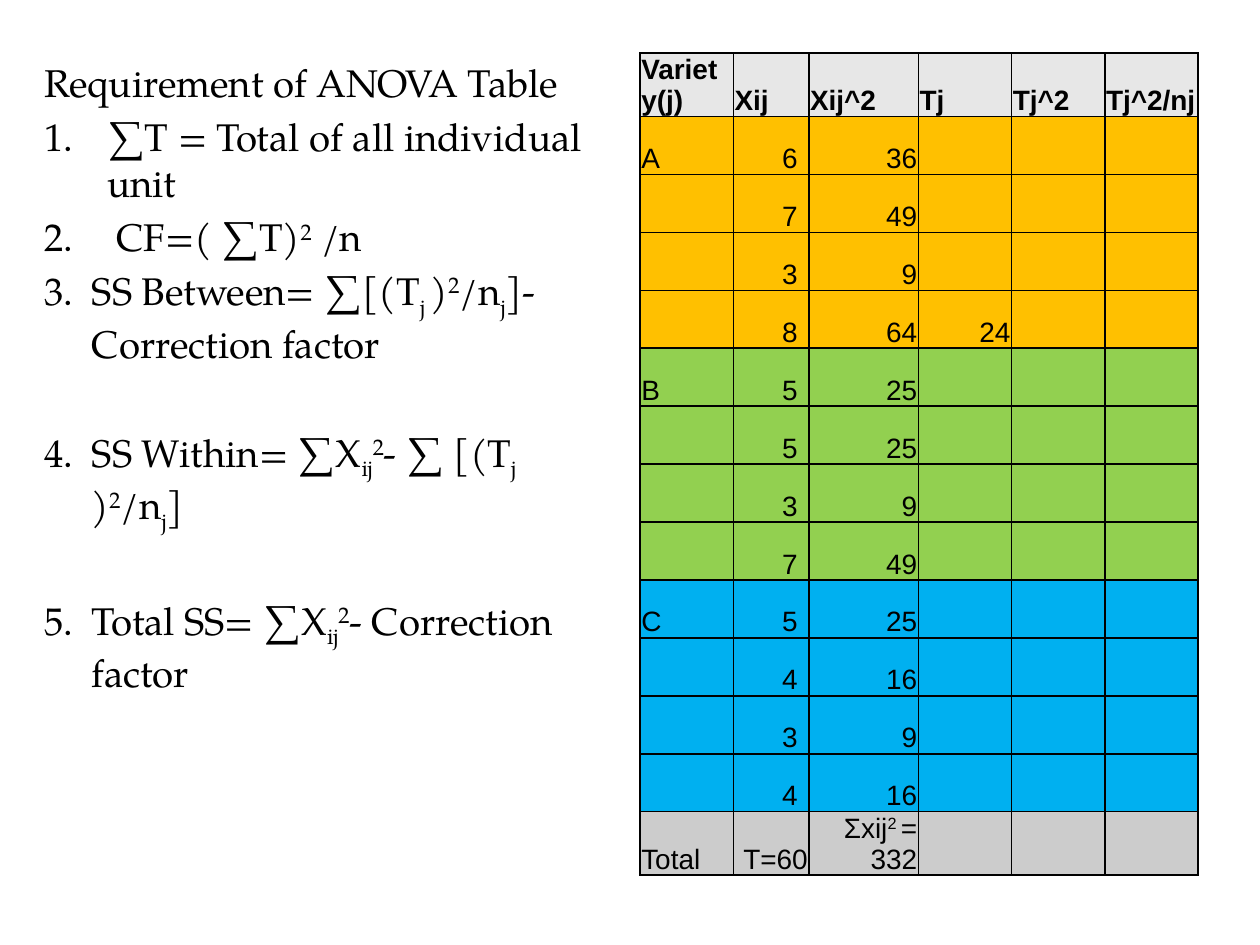
import pptx
import pptx.dml.color
import pptx.enum.text
import pptx.oxml
import pptx.oxml.ns
import pptx.util

Inches = pptx.util.Inches
Pt = pptx.util.Pt
ANCHOR = pptx.enum.text.MSO_ANCHOR
ALIGN = pptx.enum.text.PP_ALIGN

BASELINES = {"_": "-25000", "^": "30000"}
BODY_FONT = {"name": "TeX Gyre Pagella", "size": Pt(22)}
CELL_FONT = {"name": "Arial", "size": Pt(16), "bold": False}
HEAD_FONT = {**CELL_FONT, "bold": True}
CELL_FORMAT = {
    "vertical_anchor": ANCHOR.BOTTOM,
    "margin_left": Inches(0.01),
    "margin_right": Inches(0.01),
    "margin_top": Inches(0.01),
    "margin_bottom": 0,
}

STEPS = [
    ("Requirement of ANOVA Table", 0.38, False, None),
    ("∑T = Total of all individual unit", 0.5, True, None),
    (" CF=( ∑T)|^2| /n", 0.5, True, None),
    ("3.\tSS Between= ∑[(T|_j |)|^2|/n|_j|]- Correction factor", 0.38, False, None),
    ("4.\tSS Within= ∑X|_ij|^2|- ∑ [(T|_j |)|^2|/n|_j|]", 0.38, False, 36),
    ("5.\tTotal SS= ∑X|_ij|^2|- Correction factor", 0.38, False, 36),
]

HEADINGS = ["Variety(j)", "Xij", "Xij^2", "Tj", "Tj^2", "Tj^2/nj"]
VARIETIES = [
    ("A", "FFC000", [6, 7, 3, 8], "24"),
    ("B", "92D050", [5, 5, 3, 7], ""),
    ("C", "00B0F0", [5, 4, 3, 4], ""),
]
TOTALS = ["Total", "T=60", "Σxij|^2 |= 332", "", "", ""]
COL_WIDTHS = [0.74, 0.6, 0.87, 0.74, 0.74, 0.74]


def color(value):
    return pptx.dml.color.RGBColor.from_string(value)


def apply(obj, values):
    for name, value in values.items():
        setattr(obj, name, value)


def add_runs(p, text, font):
    for part in text.split("|"):
        r = p.add_run()
        r.text = part
        apply(r.font, font)
        r.font.color.rgb = color("000000")
        if part[0] in BASELINES:
            r.text = part[1:]
            r.font._element.set("baseline", BASELINES[part[0]])


def set_bullet(p, indent, numbered):
    pPr = p._p.get_or_add_pPr()
    pPr.set("marL", str(Inches(indent)))
    pPr.set("indent", str(-Inches(indent)))
    tag = "a:buAutoNum" if numbered else "a:buNone"
    bullet = pptx.oxml.parse_xml(f"<{tag} {pptx.oxml.ns.nsdecls('a')}/>")
    if numbered:
        bullet.set("type", "arabicPeriod")
    pPr.append(bullet)


def add_steps(sp, left, top, width, height):
    apply(sp, {"left": left, "top": top, "width": width, "height": height})
    tf = sp.text_frame
    apply(tf, {"word_wrap": True, "auto_size": pptx.enum.text.MSO_AUTO_SIZE.NONE})
    for i, (text, indent, numbered, gap) in enumerate(STEPS):
        p = tf.add_paragraph() if i else tf.paragraphs[0]
        if gap:
            p.space_before = Pt(gap)
        set_bullet(p, indent, numbered)
        add_runs(p, text, BODY_FONT)


def add_borders(cell):
    tcPr = cell._tc.get_or_add_tcPr()
    for side in ("lnL", "lnR", "lnT", "lnB"):
        tcPr.append(pptx.oxml.parse_xml(
            f'<a:{side} {pptx.oxml.ns.nsdecls("a")} w="{Pt(1)}"><a:solidFill>'
            f'<a:srgbClr val="000000"/></a:solidFill></a:{side}>'))


def fill_cell(cell, text, fill, font, align):
    apply(cell, CELL_FORMAT)
    add_borders(cell)
    cell.fill.solid()
    cell.fill.fore_color.rgb = color(fill)
    p = cell.text_frame.paragraphs[0]
    p.alignment = align
    if text:
        add_runs(p, text, font)


def table_rows():
    rows = [(HEADINGS, "E7E7E7")]
    for name, fill, values, total in VARIETIES:
        for i, x in enumerate(values):
            label = name if i == 0 else ""
            tj = total if i == len(values) - 1 else ""
            rows.append(([label, str(x), str(x ** 2), tj, "", ""], fill))
    return rows + [(TOTALS, "CCCCCC")]


def add_variety_table(s, left, top, width, height):
    rows = table_rows()
    frame = s.shapes.add_table(len(rows), len(HEADINGS), left, top, width, height)
    table = frame.table
    for col, w in zip(table.columns, COL_WIDTHS):
        col.width = Inches(w)
    for i, (texts, fill) in enumerate(rows):
        for j, text in enumerate(texts):
            cell = table.cell(i, j)
            font = HEAD_FONT if i == 0 else CELL_FONT
            align = ALIGN.RIGHT if i and j else ALIGN.LEFT
            fill_cell(cell, text, fill, font, align)
            if j == 1 and 0 < i < len(rows) - 1:
                cell.margin_right = Inches(0.09)


def main():
    prs = pptx.Presentation()
    apply(prs, {"slide_width": Inches(10), "slide_height": Inches(7.5)})
    s = prs.slides.add_slide(prs.slide_layouts[1])
    title = s.shapes.title._element
    title.getparent().remove(title)
    add_steps(s.placeholders[1], Inches(0.25), Inches(0.42), Inches(4.67), Inches(6.28))
    add_variety_table(s, Inches(5.08), Inches(0.42), Inches(4.43), Inches(6.44))
    prs.save("out.pptx")


if __name__ == "__main__":
    main()
